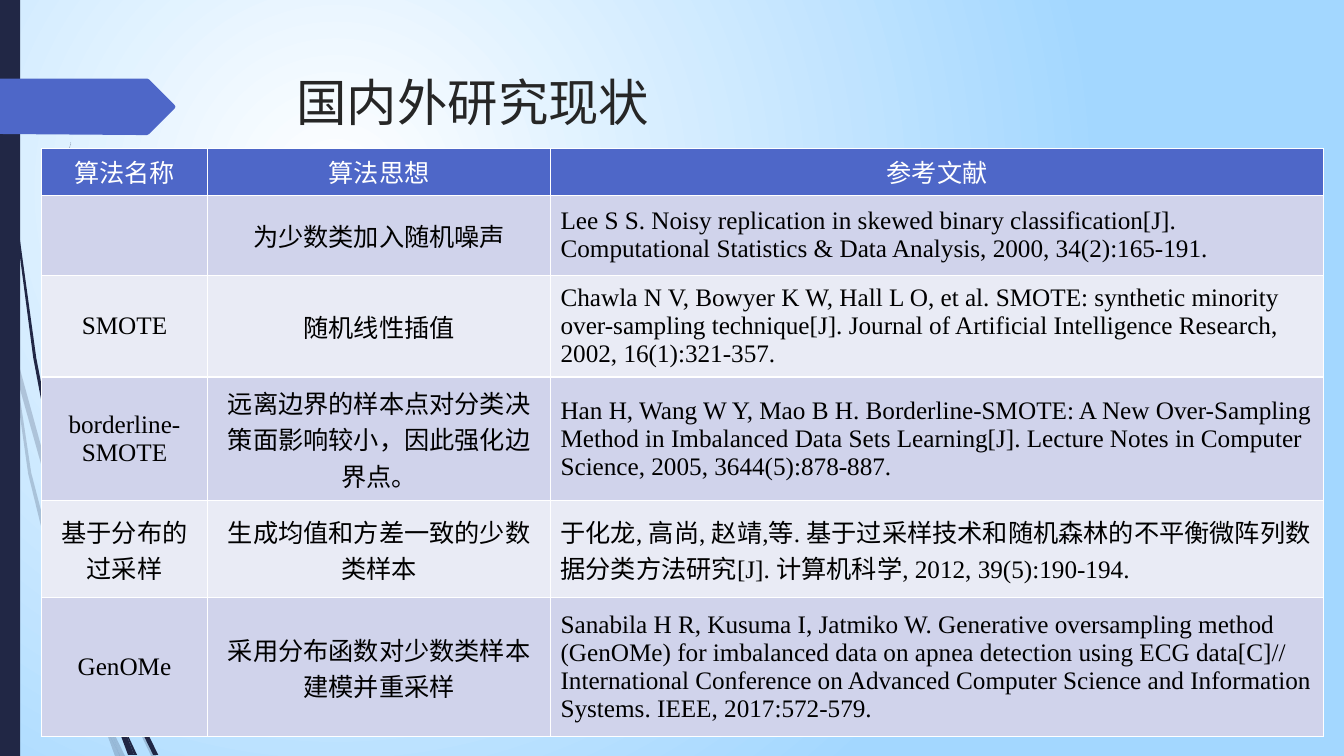
"""Build a slide that compares oversampling algorithms in a table."""
from lxml import etree
from pptx import Presentation
from pptx.dml.color import RGBColor
from pptx.enum.shapes import MSO_SHAPE
from pptx.enum.text import MSO_ANCHOR, PP_ALIGN
from pptx.oxml.ns import qn
from pptx.util import Inches, Pt

RECTANGLE = MSO_SHAPE.RECTANGLE
TOP, MIDDLE = MSO_ANCHOR.TOP, MSO_ANCHOR.MIDDLE
LEFT, CENTER = PP_ALIGN.LEFT, PP_ALIGN.CENTER
WHITE = RGBColor(0xFF, 0xFF, 0xFF)
BLACK = RGBColor(0x00, 0x00, 0x00)
SKY = RGBColor(0xA3, 0xD7, 0xFF)
NAVY = RGBColor(0x21, 0x27, 0x45)
BLUE = RGBColor(0x4E, 0x67, 0xC8)
BAND_DARK = RGBColor(0xD0, 0xD3, 0xEB)
BAND_LIGHT = RGBColor(0xE9, 0xEB, 0xF5)
TITLE_GRAY = RGBColor(0x26, 0x26, 0x26)

TITLE_FONT = {"name": "Times New Roman", "size": Pt(36), "bold": False}
TABLE_FONT = {"name": "Times New Roman", "size": Pt(18), "bold": False}
COLUMN_WIDTHS = [1.65, 3.4, 7.67]
ROW_HEIGHTS = [0.47, 0.79, 1.01, 1.23, 0.96, 1.38]
ROWS = [
    ("算法名称", "算法思想", "参考文献"),
    ("", "为少数类加入随机噪声",
     "Lee S S. Noisy replication in skewed binary classification[J]. "
     "Computational Statistics & Data Analysis, 2000, 34(2):165-191."),
    ("SMOTE", "随机线性插值",
     "Chawla N V, Bowyer K W, Hall L O, et al. SMOTE: synthetic minority "
     "over-sampling technique[J]. Journal of Artificial Intelligence Research, "
     "2002, 16(1):321-357."),
    ("borderline-SMOTE", "远离边界的样本点对分类决策面影响较小，因此强化边界点。",
     "Han H, Wang W Y, Mao B H. Borderline-SMOTE: A New Over-Sampling Method in "
     "Imbalanced Data Sets Learning[J]. Lecture Notes in Computer Science, "
     "2005, 3644(5):878-887."),
    ("基于分布的过采样", "生成均值和方差一致的少数类样本",
     "于化龙, 高尚, 赵靖,等. 基于过采样技术和随机森林的不平衡微阵列数据分类方法研究[J]. "
     "计算机科学, 2012, 39(5):190-194."),
    ("GenOMe", "采用分布函数对少数类样本建模并重采样",
     "Sanabila H R, Kusuma I, Jatmiko W. Generative oversampling method (GenOMe) "
     "for imbalanced data on apnea detection using ECG data[C]// International "
     "Conference on Advanced Computer Science and Information Systems. IEEE, "
     "2017:572-579."),
]

PALE_WISPS = [
    [(0.11, 3.5), (0.09, 3.22), (0, 2.82), (0, 2.99), (0.1, 3.44)],
    [(0.58, 5.22), (0.84, 5.99), (0.85, 5.86), (0.62, 5.2), (0.14, 3.45),
     (0.17, 3.76)],
    [(0.92, 6.07), (0.88, 5.96), (0.88, 6.1), (1.23, 6.94), (1.5, 7.5),
     (1.55, 7.5), (1.27, 6.92)],
    [(1.19, 7.5), (1.24, 7.5), (1.05, 7.11)],
    [(0.93, 6.83), (0.7, 6.19), (0.31, 4.69), (0.17, 3.76), (0.11, 3.5),
     (0.28, 4.7), (0.65, 6.21), (0.92, 6.93), (1.01, 7.14), (0.99, 7.07)],
    [(1.01, 7.14), (1.14, 7.5), (1.19, 7.5)],
    [(0.96, 6.92), (0.93, 6.83), (0.99, 7.07), (1.01, 7.14), (1.19, 7.5),
     (1.05, 7.11)],
]
DARK_WISPS = [
    [(0.07, 1.1), (0.17, 2.33), (0.33, 3.55), (0.56, 4.77), (0.57, 4.81),
     (0.55, 4.57), (0.55, 4.53), (0.36, 3.55), (0.19, 2.32), (0.08, 1.09),
     (0.05, 0.48), (0.04, 0), (0.03, 0), (0.04, 0.48)],
    [(1.13, 6.49), (1.1, 6.41), (1.11, 6.56), (1.32, 7.08), (1.52, 7.49),
     (1.57, 7.49), (1.36, 7.06)],
    [(0.6, 4.72), (0.58, 4.53), (0.54, 3.49), (0.58, 2.45), (0.63, 1.93),
     (0.7, 1.41), (0.62, 1.93), (0.56, 2.45), (0.52, 3.49), (0.55, 4.49)],
    [(1.33, 7.49), (1.36, 7.49), (1.22, 7.19)],
    [(1.17, 7.22), (1.27, 7.49), (1.31, 7.49)],
    [(1.16, 7.06), (1.1, 6.91), (1.16, 7.17), (1.17, 7.22), (1.3, 7.49),
     (1.33, 7.49), (1.22, 7.19)],
]
ARROW_TAG = [(1.73, 1.08), (1.48, 1.33), (1.46, 1.34), (1.36, 1.34), (0, 1.33),
             (0, 0.78), (1.46, 0.78), (1.48, 0.79), (1.73, 1.04), (1.74, 1.06)]


def set_font(font, values, color):
    """Apply format values and a colour to a font."""
    for name, value in values.items():
        setattr(font, name, value)
    font.color.rgb = color


def paint_background(page):
    """Fill the page with a circular white-to-sky gradient."""
    fill = page.background.fill
    fill.gradient()
    for stop, position, color in zip(fill.gradient_stops, (0, 1), (WHITE, SKY)):
        stop.position = position
        stop.color.rgb = color
    gradient = page.element.find(".//" + qn("a:gradFill"))
    linear = gradient.find(qn("a:lin"))
    circle = etree.Element(qn("a:path"), path="circle")
    etree.SubElement(circle, qn("a:fillToRect"),
                     l="50000", t="50000", r="100000", b="100000")
    gradient.replace(linear, circle)


def paint_shape(shape, color):
    """Give a shape a plain fill without line or shadow."""
    shape.shadow.inherit = False
    shape.fill.solid()
    shape.fill.fore_color.rgb = color
    shape.line.fill.background()


def add_outline(page, points, color, opacity=100):
    """Draw a closed, filled outline through points given in inches."""
    corners = [(Inches(x), Inches(y)) for x, y in points]
    builder = page.shapes.build_freeform(*corners[0])
    builder.add_line_segments(corners[1:], close=True)
    shape = builder.convert_to_shape()
    paint_shape(shape, color)
    if opacity < 100:
        paint = shape.element.spPr.find(".//" + qn("a:srgbClr"))
        etree.SubElement(paint, qn("a:alpha"), val=str(opacity * 1000))


def add_side_bar(page):
    """Draw the dark bar along the left edge."""
    bar = page.shapes.add_shape(RECTANGLE, Inches(0), Inches(0),
                                Inches(0.2), Inches(7.5))
    paint_shape(bar, NAVY)


def set_borders(cell):
    """Give a cell thin white borders."""
    properties = cell._tc.get_or_add_tcPr()
    for index, side in enumerate(("lnL", "lnR", "lnT", "lnB")):
        border = etree.Element(qn("a:" + side), w=str(Pt(1)))
        solid = etree.SubElement(border, qn("a:solidFill"))
        etree.SubElement(solid, qn("a:srgbClr"), val=str(WHITE))
        properties.insert(index, border)


def fill_cell(cell, text, row, column):
    """Write and format one table cell."""
    cell.text = text
    cell.vertical_anchor = MIDDLE
    cell.fill.solid()
    band = BAND_DARK if row % 2 else BAND_LIGHT
    cell.fill.fore_color.rgb = band if row else BLUE
    para = cell.text_frame.paragraphs[0]
    para.alignment = LEFT if row and column == 2 else CENTER
    for span in para.runs:
        set_font(span.font, TABLE_FONT, BLACK if row else WHITE)
    set_borders(cell)


def add_algorithm_table(page):
    """Add the table of algorithms, ideas and references."""
    frame = page.shapes.add_table(len(ROWS), len(COLUMN_WIDTHS), Inches(0.41),
                                  Inches(1.47), Inches(12.72), Inches(5.84))
    table = frame.table
    for column, width in zip(table.columns, COLUMN_WIDTHS):
        column.width = Inches(width)
    for row, height in zip(table.rows, ROW_HEIGHTS):
        row.height = Inches(height)
    for row, texts in enumerate(ROWS):
        for column, text in enumerate(texts):
            fill_cell(table.cell(row, column), text, row, column)


def set_title(page, text):
    """Place and format the title in front of the other elements."""
    title = page.shapes.title
    title.left, title.top = Inches(2.84), Inches(0.66)
    title.width, title.height = Inches(9.75), Inches(1.4)
    title.text_frame.text = text
    title.text_frame.vertical_anchor = TOP
    para = title.text_frame.paragraphs[0]
    para.alignment = LEFT
    set_font(para.runs[0].font, TITLE_FONT, TITLE_GRAY)
    title.element.getparent().append(title.element)


def main():
    """Build and save the deck."""
    deck = Presentation()
    deck.slide_width, deck.slide_height = Inches(13.33), Inches(7.5)
    page = deck.slides.add_slide(deck.slide_layouts[5])
    paint_background(page)
    for wisp in PALE_WISPS:
        add_outline(page, wisp, NAVY, opacity=20)
    for wisp in DARK_WISPS:
        add_outline(page, wisp, NAVY)
    add_side_bar(page)
    add_outline(page, ARROW_TAG, BLUE)
    add_algorithm_table(page)
    set_title(page, "国内外研究现状")
    deck.save("out.pptx")


if __name__ == "__main__":
    main()
